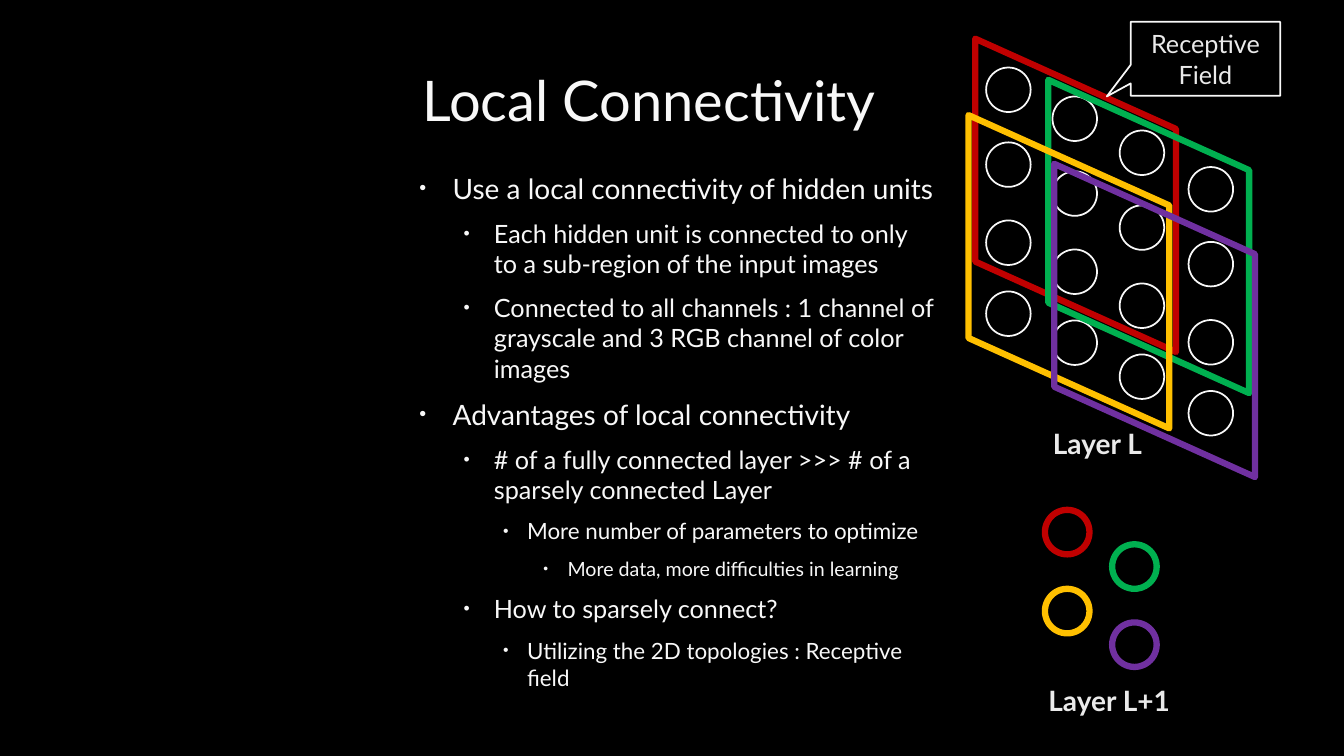
from lxml import etree
from pptx import Presentation
from pptx import util as u
from pptx.dml import color
from pptx.enum import shapes, text
from pptx.oxml import ns

COLUMNS, ROWS = 160, 90
SLIDE_WIDTH, SLIDE_HEIGHT = u.Inches(13.33), u.Inches(7.5)
FONT = "Lato"
WHITE, PALE = "F8F8F8", "EAEAEA"
UNIT_SIZE = 5.3

LEVELS = [(4.56, -3.96, 20), (9.48, -3.6, 18), (13.44, -2.88, 16), (18.24, -2.88, 14)]
POINTS = [
    (0, "Use a local connectivity of hidden units"),
    (1, "Each hidden unit is connected to only to a sub-region of the input images"),
    (1, "Connected to all channels : 1 channel of grayscale and 3 RGB channel of color images"),
    (0, "Advantages of local connectivity"),
    (1, "# of a fully connected layer >>> # of a sparsely connected Layer"),
    (2, "More number of parameters to optimize"),
    (3, "More data, more difficulties in learning"),
    (1, "How to sparsely connect?"),
    (2, "Utilizing the 2D topologies : Receptive field"),
]
INPUT_COLUMNS = [(117.4, 0), (125.3, 3.45), (133.3, 7.5), (141.5, 11.85)]
INPUT_ROWS = [8.04, 16.95, 26.25, 34.7]
FIELDS = [
    ("C00000", (109.4, 11.3), (124.4, 60.7)),
    ("00B050", (118.1, 16.2), (132.4, 64.8)),
    ("FFC000", (108.6, 20.4), (124.4, 70.1)),
    ("7030A0", (118.8, 26.2), (132.4, 74.1)),
]


def rgb(value):
    return color.RGBColor.from_string(value)


def col(count):
    return round(SLIDE_WIDTH * count / COLUMNS)


def row(count):
    return round(SLIDE_HEIGHT * count / ROWS)


def area(left, top, width, height):
    return col(left), row(top), col(width), row(height)


def place(box, *cells):
    box.left, box.top, box.width, box.height = area(*cells)


def write(para, words, size=18, ink=WHITE, bold=False, align=None):
    para.alignment = align
    span = para.add_run()
    span.text = words
    span.font.name = FONT
    span.font.size = u.Pt(size)
    span.font.bold = bold
    span.font.color.rgb = rgb(ink)


def add_bullet(para, indent, hanging):
    props = para._p.get_or_add_pPr()
    props.set("marL", str(col(indent)))
    props.set("indent", str(col(hanging)))
    tint = etree.SubElement(props, ns.qn("a:buClr"))
    etree.SubElement(tint, ns.qn("a:srgbClr"), val=WHITE)
    etree.SubElement(props, ns.qn("a:buSzPct"), val="70000")
    etree.SubElement(props, ns.qn("a:buFont"), typeface="Arial")
    etree.SubElement(props, ns.qn("a:buChar"), char="•")


def add_title(page, words):
    title = page.shapes.title
    place(title, 39.36, 5.4, 75.84, 12.72)
    title.text_frame.vertical_anchor = text.MSO_ANCHOR.MIDDLE
    write(title.text_frame.paragraphs[0], words, size=40, align=text.PP_ALIGN.CENTER)


def add_points(page, points):
    body = page.placeholders[1]
    place(body, 48.12, 19.8, 64.56, 64.68)
    frame = body.text_frame
    frame.auto_size = text.MSO_AUTO_SIZE.NONE
    for index, (level, words) in enumerate(points):
        para = frame.add_paragraph() if index else frame.paragraphs[0]
        indent, hanging, size = LEVELS[level]
        para.level = level
        add_bullet(para, indent, hanging)
        para.space_after = u.Pt(6)
        if index == 0:
            para.space_before = u.Pt(0)
        write(para, words, size=size)


def add_outline(page, kind, cells, ink, weight):
    shape = page.shapes.add_shape(kind, *area(*cells))
    shape.shadow.inherit = False
    shape.fill.background()
    shape.line.color.rgb = rgb(ink)
    shape.line.width = u.Pt(weight)
    return shape


def add_unit(page, left, top, ink=WHITE, weight=1.25):
    cells = (left, top, UNIT_SIZE, UNIT_SIZE)
    add_outline(page, shapes.MSO_SHAPE.OVAL, cells, ink, weight)


def add_field(page, left, top, ink):
    cells = (left, top, 37.3, 23.9)
    field = add_outline(page, shapes.MSO_SHAPE.PARALLELOGRAM, cells, ink, 4.5)
    field.adjustments[0] = 0.45
    field.rotation = 90


def add_label(page, words, *cells):
    box = page.shapes.add_textbox(*area(*cells))
    box.text_frame.word_wrap = False
    box.text_frame.auto_size = text.MSO_AUTO_SIZE.SHAPE_TO_FIT_TEXT
    write(box.text_frame.paragraphs[0], words, size=20, ink=PALE, bold=True,
          align=text.PP_ALIGN.CENTER)


def add_callout(page, words, *cells):
    callout = add_outline(page, shapes.MSO_SHAPE.RECTANGULAR_CALLOUT, cells, WHITE, 1.25)
    callout.adjustments[0] = -0.66
    callout.adjustments[1] = 0.51
    frame = callout.text_frame
    frame.word_wrap = True
    frame.vertical_anchor = text.MSO_ANCHOR.MIDDLE
    write(frame.paragraphs[0], words, ink=PALE, align=text.PP_ALIGN.CENTER)


def main():
    deck = Presentation()
    deck.slide_width, deck.slide_height = SLIDE_WIDTH, SLIDE_HEIGHT
    page = deck.slides.add_slide(deck.slide_layouts[1])
    page.background.fill.solid()
    page.background.fill.fore_color.rgb = rgb("000000")

    add_title(page, "Local Connectivity")
    add_points(page, POINTS)
    for top in INPUT_ROWS:
        for left, drop in INPUT_COLUMNS:
            add_unit(page, left, top + drop)
    for ink, corner, _ in FIELDS:
        add_field(page, *corner, ink)
    add_label(page, "Layer L", 123.7, 50.2, 13.9, 5.3)
    for ink, _, corner in FIELDS:
        add_unit(page, *corner, ink=ink, weight=4.5)
    add_label(page, "Layer L+1", 123.1, 80.8, 17.9, 5.3)
    add_callout(page, "Receptive Field", 134.6, 2.6, 17.8, 8.8)
    deck.save("out.pptx")


if __name__ == "__main__":
    main()
